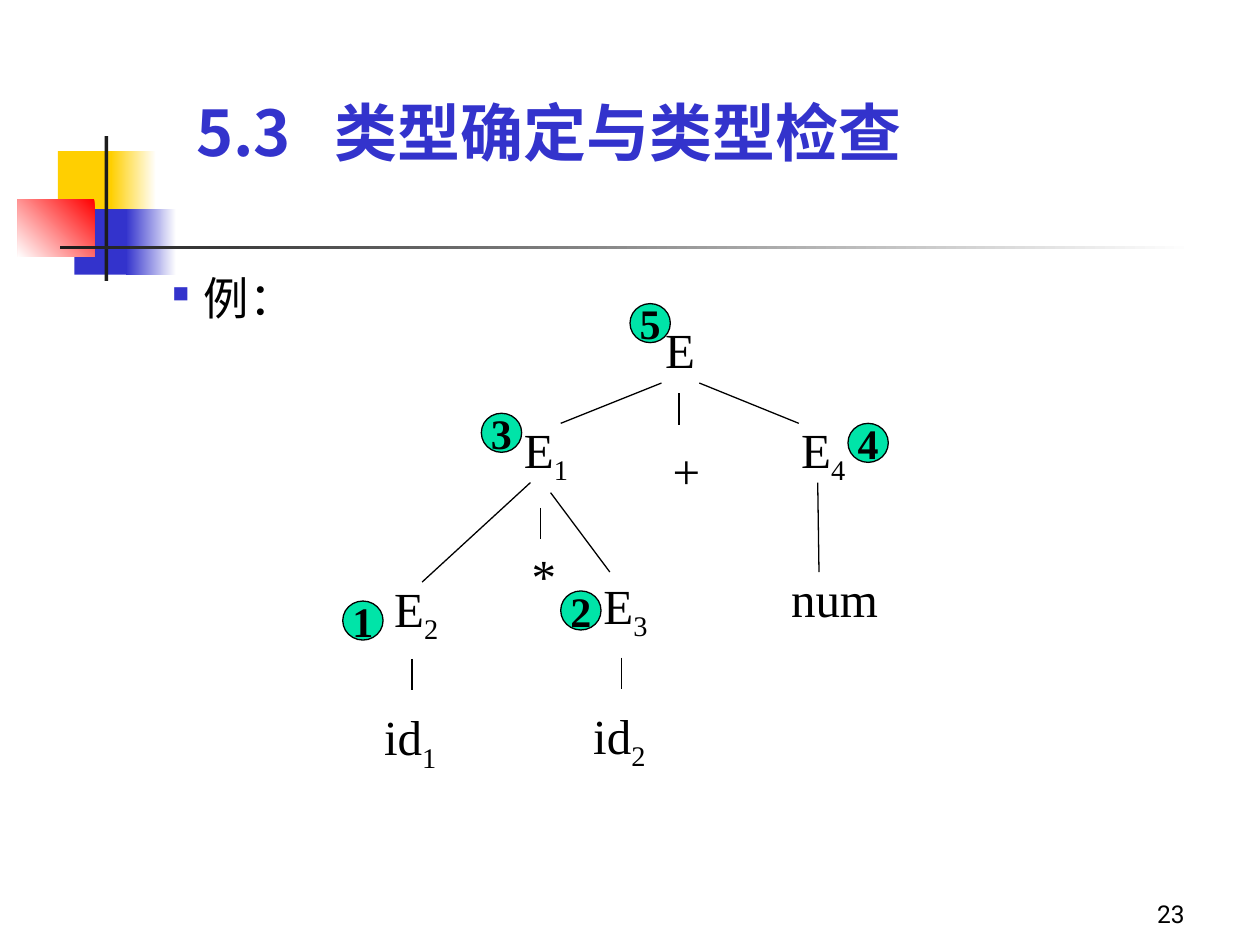
from lxml import etree
from pptx import Presentation
from pptx.dml.color import RGBColor
from pptx.enum import shapes, text
from pptx.oxml.ns import qn
from pptx.util import Inches, Pt

SERIF, SANS, CJK = "Times New Roman", "Roboto", "Noto Sans CJK SC"
BLACK, BLUE, YELLOW, RED, DARK, GREEN, WHITE = (
    "000000", "3333CC", "FFCF01", "FF0000", "1C1C1C", "00E4A8", "FFFFFF")

TITLE = "5.3\t类型确定与类型检查"
EXAMPLE = "例："
PAGE = "23"

# left, top, width, height, first colour, second colour, clockwise angle
DECORATION = [
    (0.46, 1.2, 0.48, 0.52, YELLOW, None, 0),
    (0.88, 1.2, 0.36, 0.52, WHITE, YELLOW, 180),
    (0.59, 1.66, 0.46, 0.52, BLUE, None, 0),
    (1, 1.66, 0.4, 0.52, WHITE, BLUE, 180),
    (0.14, 1.58, 0.61, 0.46, RED, WHITE, 135),
    (0.83, 1.08, 0.03, 1.15, DARK, None, 0),
    (0.48, 1.95, 9, 0.03, WHITE, DARK, 180),
]
# symbol, subscript, left, top, width
NODES = [
    ("E", "", 5.18, 2.49, 0.53),
    ("E", "1", 4.06, 3.28, 0.71),
    ("+", "", 5.24, 3.45, 0.39),
    ("E", "4", 6.26, 3.28, 0.71),
    ("E", "2", 3.03, 4.54, 0.71),
    ("*", "", 4.12, 4.28, 0.41),
    ("E", "3", 4.69, 4.52, 0.71),
    ("num", "", 6.18, 4.46, 1.02),
    ("id", "1", 2.95, 5.56, 0.71),
    ("id", "2", 4.61, 5.55, 0.71),
]
BRANCHES = [
    (5.25, 3.04, 4.45, 3.36), (5.55, 3.04, 6.34, 3.36),
    (4.21, 3.83, 3.35, 4.62), (4.84, 4.54, 4.37, 3.91),
    (6.5, 4.54, 6.49, 3.83),
]
STEMS = [(5.39, 3.12), (4.29, 4.03), (3.27, 5.23), (4.93, 5.22)]
STEM_LENGTH = 0.25
# left and top of the evaluation steps 1, 2, 3 ...
STEPS = [(2.72, 4.77), (4.45, 4.69), (3.82, 3.28), (6.73, 3.36), (5, 2.41)]


def rgb(color):
    return RGBColor.from_string(color)


def style(paragraph, size, face, color=BLACK, bold=False):
    font = paragraph.font
    font.size, font.name, font.bold = Pt(size), face, bold
    font.color.rgb = rgb(color)


def add_text(slide, box, content, anchor=text.MSO_ANCHOR.TOP):
    frame = slide.shapes.add_textbox(*map(Inches, box)).text_frame
    frame.word_wrap = True
    frame.vertical_anchor = anchor
    paragraph = frame.paragraphs[0]
    run = paragraph.add_run()
    run.text = content
    return paragraph


def set_east_asian(paragraph):
    for run in paragraph.runs:
        etree.SubElement(run._r.get_or_add_rPr(), qn("a:ea"), typeface=CJK)


def add_shape(slide, kind, box, color):
    shape = slide.shapes.add_shape(kind, *map(Inches, box))
    shape.shadow.inherit = False
    shape.fill.solid()
    shape.fill.fore_color.rgb = rgb(color)
    return shape


def add_decoration(slide):
    for *box, first, second, angle in DECORATION:
        block = add_shape(slide, shapes.MSO_SHAPE.RECTANGLE, box, first)
        block.line.fill.background()
        if second:
            block.fill.gradient()
            block.fill.gradient_angle = 360 - angle
            for stop, color in zip(block.fill.gradient_stops, (first, second)):
                stop.color.rgb = rgb(color)


def add_headings(slide):
    title = add_text(slide, (1.46, 0.68, 7.87, 0.71), TITLE, text.MSO_ANCHOR.BOTTOM)
    tabs = etree.SubElement(title._p.get_or_add_pPr(), qn("a:tabLst"))
    etree.SubElement(tabs, qn("a:tab"), pos=str(Inches(1.1)), algn="l")
    style(title, 36, CJK, BLUE, True)
    set_east_asian(title)

    example = add_text(slide, (0.27, 2.18, 9.37, 0.47), EXAMPLE)
    example.line_spacing = 0.8
    props = example._p.get_or_add_pPr()
    props.set("marL", str(Inches(1.25)))
    props.set("indent", str(Inches(-0.25)))
    bullet_color = etree.SubElement(props, qn("a:buClr"))
    etree.SubElement(bullet_color, qn("a:srgbClr"), val=BLUE)
    etree.SubElement(props, qn("a:buSzPct"), val="50000")
    etree.SubElement(props, qn("a:buChar"), char="■")
    style(example, 25.9, SANS)
    set_east_asian(example)

    page = add_text(slide, (7.42, 6.92, 2.08, 0.5), PAGE, text.MSO_ANCHOR.BOTTOM)
    page.alignment = text.PP_ALIGN.RIGHT
    style(page, 14, SANS)


def add_branch(slide, ends):
    branch = slide.shapes.add_connector(
        shapes.MSO_CONNECTOR.STRAIGHT, *map(Inches, ends))
    branch.line.color.rgb = rgb(BLACK)
    branch.line.width = Pt(0.75)
    etree.SubElement(branch._element.spPr, qn("a:effectLst"))


def add_tree(slide):
    for symbol, subscript, left, top, width in NODES:
        height = 0.63 if subscript else 0.57
        node = add_text(slide, (left, top, width, height), symbol)
        if subscript:
            run = node.add_run()
            run.text = subscript
            run._r.get_or_add_rPr().set("baseline", "-25000")
        style(node, 28, SERIF)

    stems = [(x, y, x, y + STEM_LENGTH) for x, y in STEMS]
    for ends in BRANCHES + stems:
        add_branch(slide, ends)

    for number, (left, top) in enumerate(STEPS, 1):
        step = add_shape(slide, shapes.MSO_SHAPE.OVAL, (left, top, 0.32, 0.31), GREEN)
        step.line.color.rgb = rgb(BLACK)
        step.line.width = Pt(0.75)
        frame = step.text_frame
        frame.text = str(number)
        frame.word_wrap = False
        frame.vertical_anchor = text.MSO_ANCHOR.MIDDLE
        frame.paragraphs[0].alignment = text.PP_ALIGN.CENTER
        style(frame.paragraphs[0], 24, SERIF, bold=True)


def main():
    deck = Presentation()
    deck.slide_width, deck.slide_height = Inches(10), Inches(7.5)
    slide = deck.slides.add_slide(deck.slide_layouts[6])
    add_decoration(slide)
    add_headings(slide)
    add_tree(slide)
    deck.save("out.pptx")


if __name__ == "__main__":
    main()
